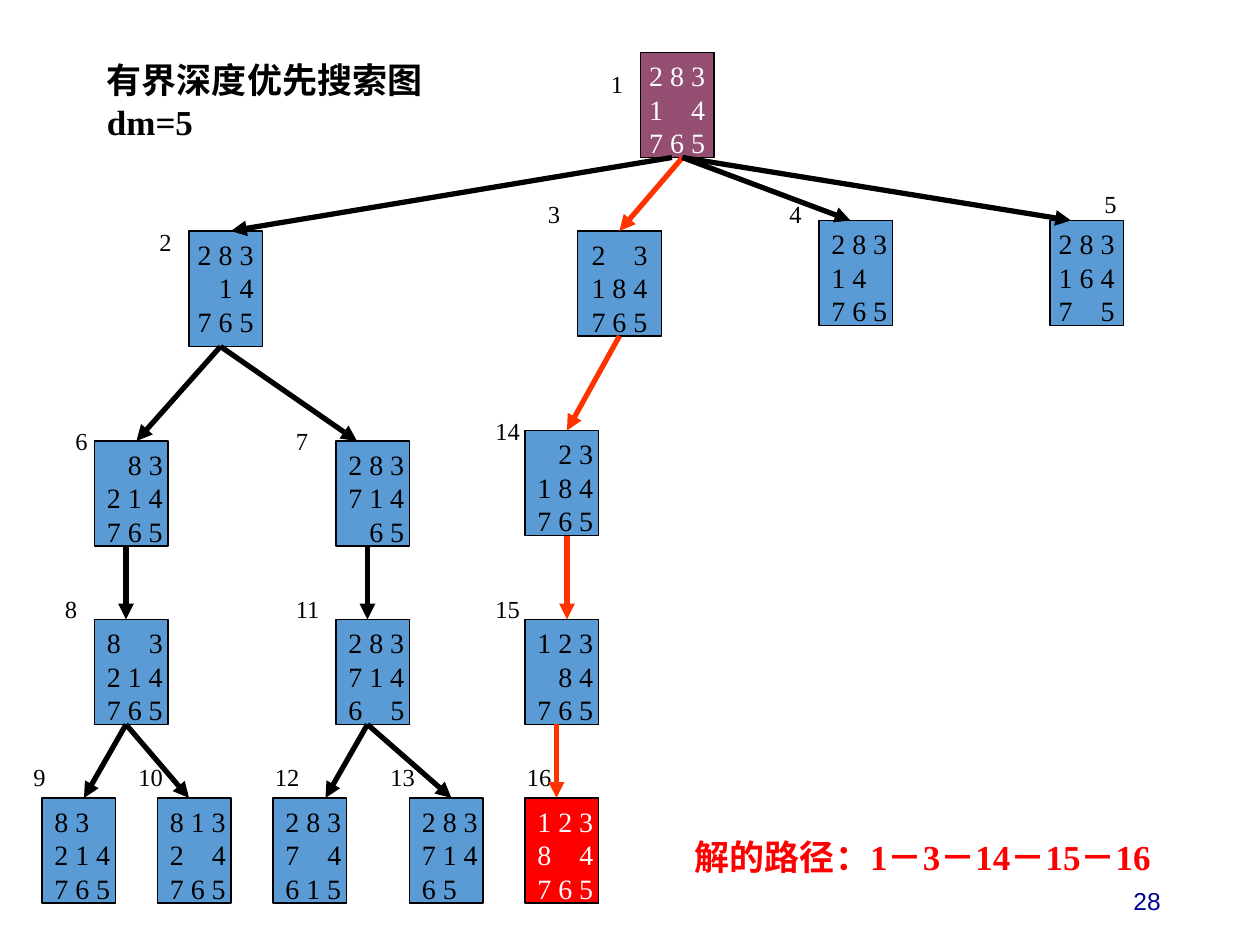
from dataclasses import dataclass

from lxml import etree
from pptx import Presentation
from pptx.dml.color import RGBColor
from pptx.enum.shapes import MSO_CONNECTOR, MSO_SHAPE
from pptx.enum.text import MSO_ANCHOR, MSO_AUTO_SIZE, PP_ALIGN
from pptx.oxml.ns import qn
from pptx.util import Cm, Pt

PROCESS = MSO_SHAPE.FLOWCHART_PROCESS
STRAIGHT = MSO_CONNECTOR.STRAIGHT
TOP, MIDDLE = MSO_ANCHOR.TOP, MSO_ANCHOR.MIDDLE
LEFT, RIGHT = PP_ALIGN.LEFT, PP_ALIGN.RIGHT
FIT_TEXT = MSO_AUTO_SIZE.SHAPE_TO_FIT_TEXT
TOP_SIDE, BOTTOM_SIDE = 0, 2


@dataclass(frozen=True)
class Theme:
    serif: str = "Times New Roman"
    sans: str = "Arial"
    black: str = "000000"
    white: str = "FFFFFF"
    start: str = "954F72"
    state: str = "5B9BD5"
    goal: str = "FF0000"
    path_line: str = "FF3300"
    page_number: str = "000099"
    heading_size: int = 20
    board_size: int = 16
    label_size: int = 14
    outline: float = 0.75
    arrow: float = 3
    column: int = 12  # points from one digit column to the next


@dataclass(frozen=True)
class State:
    number: int
    left: float
    top: float
    rows: str  # "_" is the empty square
    label_left: float
    label_top: float
    width: float = 7
    height: float = 10
    centred: bool = False


THEME = Theme()

# Positions count steps of a twelfth of an inch
STATES = [
    State(1, 61, 5, "283 1_4 765", 57, 6, centred=True),
    State(2, 18, 22, "283 _14 765", 14, 21, height=11, centred=True),
    State(3, 55, 22, "2_3 184 765", 51, 18.4, width=8, centred=True),
    State(4, 78, 21, "283 14_ 765", 74, 18.4),
    State(5, 100, 21, "283 164 7_5", 104, 17.4, centred=True),
    State(6, 9, 42, "_83 214 765", 6, 40),
    State(7, 32, 42, "283 714 _65", 27, 40),
    State(14, 50, 41, "_23 184 765", 46, 39),
    State(8, 9, 59, "8_3 214 765", 5, 56),
    State(11, 32, 59, "283 714 6_5", 27, 56),
    State(15, 50, 59, "123 _84 765", 46, 56),
    State(9, 4, 76, "83_ 214 765", 2, 72),
    State(10, 15, 76, "813 2_4 765", 12, 72),
    State(12, 26, 76, "283 7_4 615", 25, 72),
    State(13, 39, 76, "283 714 65_", 36, 72),
    State(16, 50, 76, "123 8_4 765", 49, 72),
]
# Parent, child, and where the arrow leaves and arrives across the slide
MOVES = [
    (1, 2, 64, 22), (1, 3, 65, 59), (1, 4, 65, 81), (1, 5, 65, 102),
    (2, 6, 21, 13), (2, 7, 21, 34), (3, 14, 59, 54),
    (6, 8, 12, 12), (7, 11, 35, 35), (14, 15, 54, 54),
    (8, 9, 12, 8), (8, 10, 12, 18),
    (11, 12, 35, 31), (11, 13, 35, 43), (15, 16, 53, 53),
]
SOLUTION = {1, 3, 14, 15, 16}


def steps(count):
    return Cm(count * 2.54 / 12)


def color(value):
    return RGBColor.from_string(value)


def style(paragraph, size, tint, face=THEME.serif, bold=False):
    for span in paragraph.runs:
        span.font.name = face
        span.font.size = Pt(size)
        span.font.bold = bold
        span.font.color.rgb = color(tint)


def set_row(paragraph, digits, tint):
    """Write one puzzle row; an indent or a tab stands for the empty square."""
    properties = paragraph._p.get_or_add_pPr()
    if digits[0] == "_":
        properties.set("marL", str(Pt(THEME.column)))
    if digits[1] == "_":
        stops = etree.SubElement(properties, qn("a:tabLst"))
        etree.SubElement(stops, qn("a:tab"), pos=str(Pt(2 * THEME.column)), algn="l")
        paragraph.text = f"{digits[0]}\t{digits[2]}"
    else:
        paragraph.text = " ".join(digits.strip("_"))
    paragraph.alignment = LEFT
    style(paragraph, THEME.board_size, tint)


def add_board(page, state):
    fill = {1: THEME.start, 16: THEME.goal}.get(state.number, THEME.state)
    tint = THEME.black if fill == THEME.state else THEME.white
    box = page.shapes.add_shape(PROCESS, steps(state.left), steps(state.top),
                                steps(state.width), steps(state.height))
    box.shadow.inherit = False
    box.fill.solid()
    box.fill.fore_color.rgb = color(fill)
    box.line.color.rgb = color(THEME.black)
    box.line.width = Pt(THEME.outline)
    frame = box.text_frame
    frame.word_wrap = True
    frame.vertical_anchor = TOP
    row_width = Pt(2 * THEME.column + THEME.board_size / 2)
    frame.margin_left = (box.width - row_width) // 2 if state.centred else Cm(0.25)
    frame.margin_right = 0
    rows = state.rows.split()
    frame.text = "\n".join(rows)
    for para, digits in zip(frame.paragraphs, rows):
        set_row(para, digits, tint)
    return box


def add_text(page, text, left, top, width, height, size, tint, **font):
    box = page.shapes.add_textbox(left, top, width, height)
    frame = box.text_frame
    frame.word_wrap = True
    frame.auto_size = FIT_TEXT
    frame.text = text
    style(frame.paragraphs[0], size, tint, **font)
    return box


def add_label(page, state):
    width = Cm(0.74) if state.number < 8 else Cm(1.06)
    add_text(page, str(state.number), steps(state.label_left), steps(state.label_top),
             width, Cm(0.86), THEME.label_size, THEME.black)


def add_arrow(page, start, end, tint, weight):
    arrow = page.shapes.add_connector(STRAIGHT, *map(steps, start + end))
    arrow.line.color.rgb = color(tint)
    arrow.line.width = Pt(weight)
    etree.SubElement(arrow.line._get_or_add_ln(), qn("a:tailEnd"), type="triangle")
    etree.SubElement(arrow._element.spPr, qn("a:effectLst"))
    return arrow


def add_move(page, move, states, boxes):
    parent, child = states[move[0]], states[move[1]]
    leave, arrive = move[2:]
    tint = THEME.path_line if {parent.number, child.number} <= SOLUTION else THEME.black
    arrow = add_arrow(page, (leave, parent.top + parent.height), (arrive, child.top),
                      tint, THEME.arrow)
    if leave == parent.left + parent.width / 2:
        arrow.begin_connect(boxes[parent.number], BOTTOM_SIDE)
    if arrive == child.left + child.width / 2:
        arrow.end_connect(boxes[child.number], TOP_SIDE)


def main():
    deck = Presentation()
    deck.slide_width, deck.slide_height = Cm(25.4), Cm(19.05)
    page = deck.slides.add_slide(deck.slide_layouts[6])

    # Page number
    number = add_text(page, "28", Cm(17.93), Cm(17.65), Cm(5.72), Cm(1.02),
                      THEME.label_size, THEME.page_number, face=THEME.sans)
    number.text_frame.auto_size = MSO_AUTO_SIZE.NONE
    number.text_frame.vertical_anchor = MIDDLE
    number.text_frame.paragraphs[0].alignment = RIGHT

    # Puzzle states and their visiting order
    boxes = {state.number: add_board(page, state) for state in STATES}
    for state in STATES:
        add_label(page, state)

    # Moves, with a small arrowhead under the start state
    states = {state.number: state for state in STATES}
    for move in MOVES:
        add_move(page, move, states, boxes)
    add_arrow(page, (64, 15), (64, 15), THEME.black, THEME.outline)

    # Heading and solution path
    add_text(page, "有界深度优先搜索图 dm=5", steps(9), steps(5), steps(36), Cm(1.96),
             THEME.heading_size, THEME.black, bold=True)
    add_text(page, "解的路径：1－3－14－15－16", steps(65), steps(79), steps(47), Cm(1.96),
             THEME.heading_size, THEME.goal, bold=True)

    deck.save("out.pptx")


if __name__ == "__main__":
    main()
